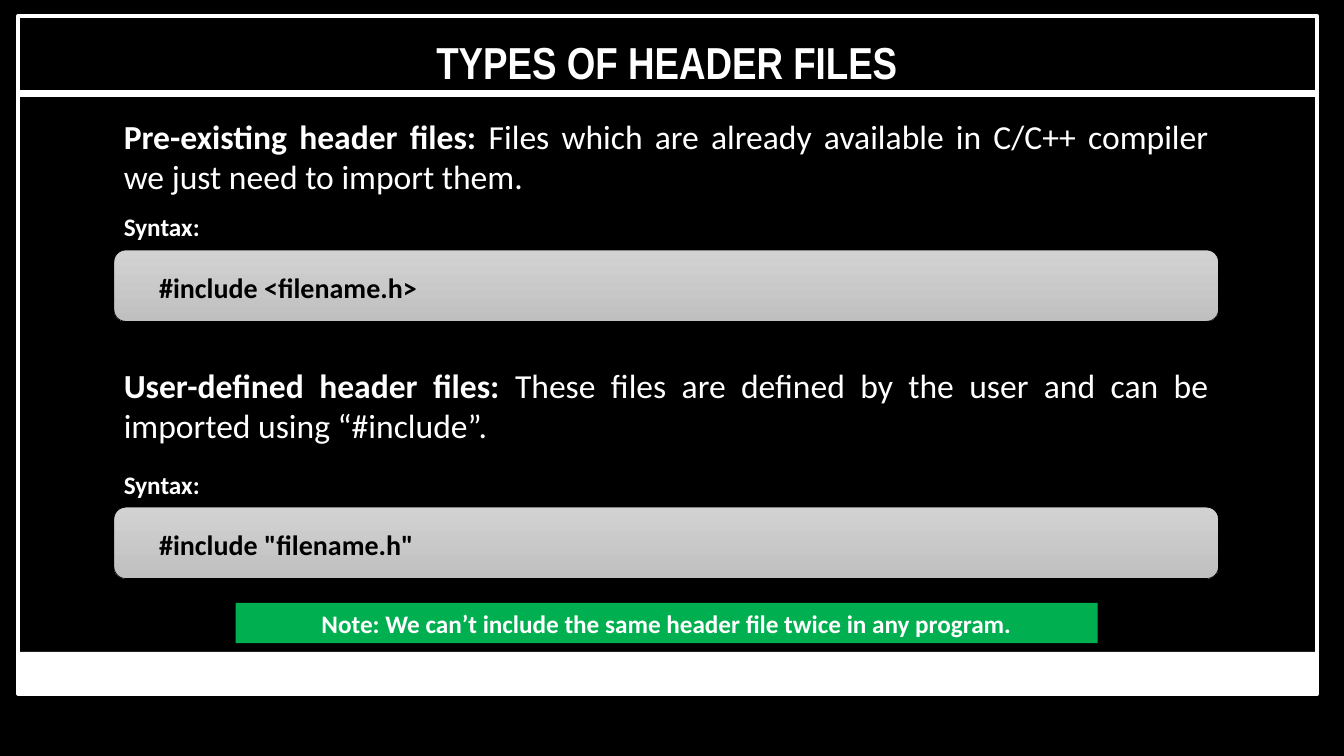
from lxml.etree import SubElement
from pptx import Presentation
from pptx.dml.color import RGBColor
from pptx.enum.shapes import MSO_CONNECTOR, MSO_SHAPE
from pptx.enum.text import MSO_ANCHOR, MSO_AUTO_SIZE, PP_ALIGN
from pptx.oxml.ns import qn
from pptx.util import Cm, Pt

BLACK = RGBColor(0x00, 0x00, 0x00)
WHITE = RGBColor(0xFF, 0xFF, 0xFF)
GREEN = RGBColor(0x00, 0xB0, 0x50)
GREY_TOP = RGBColor(0xD2, 0xD2, 0xD2)
GREY_BOTTOM = RGBColor(0xC0, 0xC0, 0xC0)

FRAME_LEFT, FRAME_WIDTH = 0.41, 32.79
CONTENT_LEFT, CONTENT_WIDTH = 2.87, 27.84

# Top of the description, top of the code panel, term, explanation, code
HEADER_KINDS = [
    (2.79, 6.3, "Pre-existing header files:",
     " Files which are already available in C/C++ compiler we just need to import them.",
     "#include <filename.h>"),
    (9.07, 12.78, "User-defined header files:",
     " These files are defined by the user and can be imported using “#include”.",
     '#include "filename.h"'),
]


class HeaderFilesSlide:
    body_font = "Calibri"
    title_font = "Arial Narrow"

    def __init__(self, deck):
        self.slide = deck.slides.add_slide(deck.slide_layouts[5])
        self.shapes = self.slide.shapes
        background = self.slide.background.fill
        background.solid()
        background.fore_color.rgb = BLACK

    def set_text(self, frame, runs, size, color=WHITE, font=None, align=PP_ALIGN.LEFT):
        """Fill a text frame with one paragraph of (text, bold) runs."""
        frame.word_wrap = True
        frame.auto_size = MSO_AUTO_SIZE.NONE
        paragraph = frame.paragraphs[0]
        paragraph.alignment = align
        paragraph.font.name = font or self.body_font
        paragraph.font.size = Pt(size)
        paragraph.font.color.rgb = color
        if len(runs) == 1:
            paragraph.font.bold = runs[0][1]
        for text, bold in runs:
            run = paragraph.add_run()
            run.text = text
            if len(runs) > 1:
                run.font.bold = bold

    def title(self, text, left, top, width, height):
        heading = self.shapes.title
        heading.left, heading.top = Cm(left), Cm(top)
        heading.width, heading.height = Cm(width), Cm(height)
        heading.text_frame.vertical_anchor = MSO_ANCHOR.MIDDLE
        self.set_text(heading.text_frame, [(text, True)], 32,
                      font=self.title_font, align=PP_ALIGN.CENTER)

    def text(self, runs, left, top, width, height, size, parent=None, **style):
        label = (parent or self.shapes).add_textbox(
            Cm(left), Cm(top), Cm(width), Cm(height))
        self.set_text(label.text_frame, runs, size, **style)

    def box(self, left, top, width, height, fill=None, line=None, line_width=1,
            preset=MSO_SHAPE.RECTANGLE, parent=None):
        panel = (parent or self.shapes).add_shape(
            preset, Cm(left), Cm(top), Cm(width), Cm(height))
        panel.shadow.inherit = False
        if fill is None:
            panel.fill.background()
        else:
            panel.fill.solid()
            panel.fill.fore_color.rgb = fill
        if line is None:
            panel.line.fill.background()
        else:
            panel.line.color.rgb = line
            panel.line.width = Pt(line_width)
        return panel

    def rule(self, left, top, width):
        divider = self.shapes.add_connector(
            MSO_CONNECTOR.STRAIGHT, Cm(left), Cm(top), Cm(left + width), Cm(top))
        divider.line.color.rgb = WHITE
        divider.line.width = Pt(5)
        SubElement(divider._element.spPr, qn("a:effectLst"))

    def code_panel(self, code, top):
        """Group a grey gradient panel with its line of code."""
        parts = self.shapes.add_group_shape().shapes
        panel = self.box(CONTENT_LEFT, top, CONTENT_WIDTH, 1.8, line=BLACK, line_width=0.5,
                         preset=MSO_SHAPE.ROUNDED_RECTANGLE, parent=parts)
        panel.fill.gradient()
        panel.fill.gradient_angle = 270
        shades = ((0, GREY_TOP), (1, GREY_BOTTOM))
        for stop, (position, color) in zip(panel.fill.gradient_stops, shades):
            stop.position = position
            stop.color.rgb = color
        self.text([(code, True)], CONTENT_LEFT + 0.89, top + 0.38, 26.44, 1.12, 20,
                  parent=parts, color=BLACK)

    def note(self, message):
        banner = self.box(5.94, 15.19, 21.72, 1.02, fill=GREEN)
        banner.text_frame.vertical_anchor = MSO_ANCHOR.MIDDLE
        self.set_text(banner.text_frame, [(message, True)], 18, align=PP_ALIGN.CENTER)


def main():
    deck = Presentation()
    deck.slide_width, deck.slide_height = Cm(33.87), Cm(19.05)
    page = HeaderFilesSlide(deck)
    page.box(0.46, 0.41, 32.74, 17.07, line=WHITE, line_width=3)
    page.box(FRAME_LEFT, 16.43, FRAME_WIDTH, 1.02, fill=WHITE)
    page.title("TYPES OF HEADER FILES", 6.2, 0.74, 21.23, 1.63)
    page.rule(FRAME_LEFT, 2.36, FRAME_WIDTH)
    for top, panel_top, term, explanation, code in HEADER_KINDS:
        page.text([(term, True), (explanation, False)], CONTENT_LEFT, top,
                  CONTENT_WIDTH, 2.31, 24, align=PP_ALIGN.JUSTIFY)
        page.text([("Syntax:", True)], CONTENT_LEFT, panel_top - 1.09, 4.19, 1.02, 18)
        page.code_panel(code, panel_top)
    page.note("Note: We can’t include the same header file twice in any program.")
    deck.save("out.pptx")


if __name__ == "__main__":
    main()
